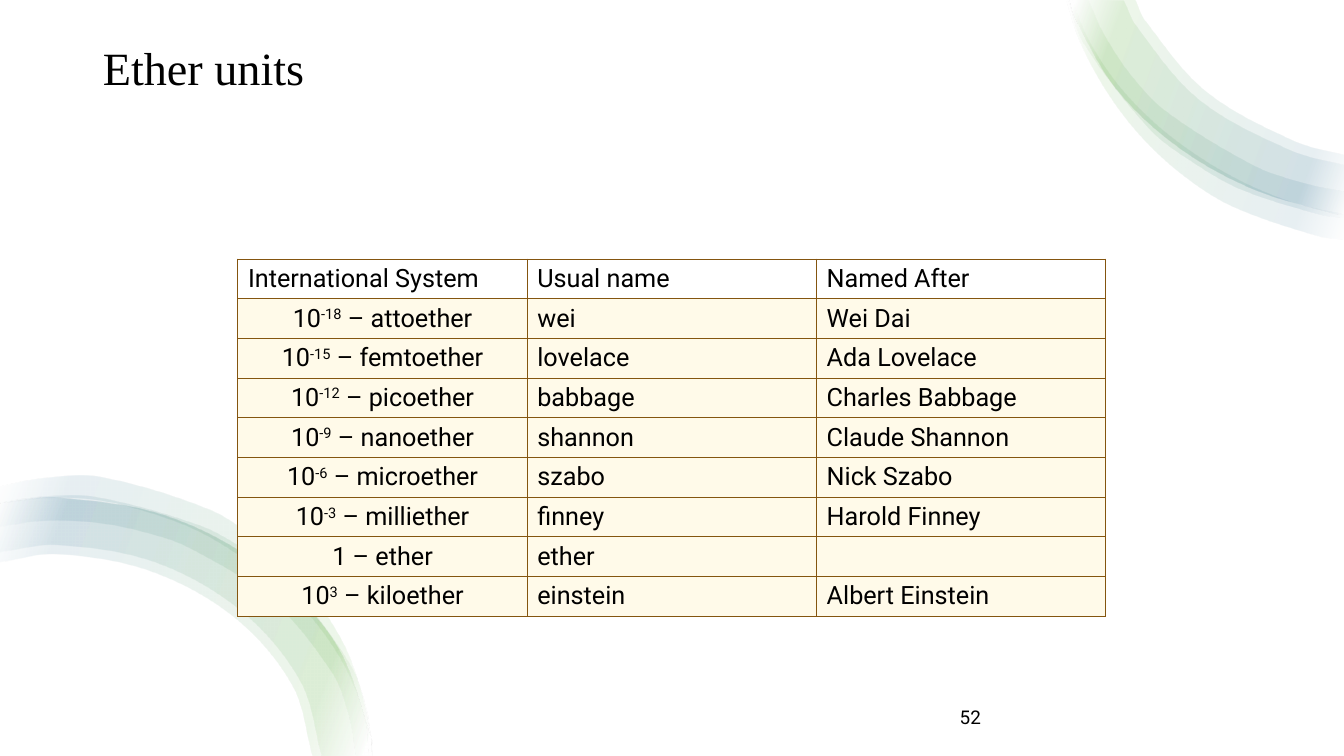
from dataclasses import dataclass
from math import dist

from lxml.etree import SubElement
from pptx import Presentation
from pptx.dml.color import RGBColor
from pptx.enum.text import MSO_ANCHOR as Anchor, PP_ALIGN as Align
from pptx.oxml import parse_xml
from pptx.oxml.ns import nsdecls, qn
from pptx.util import Inches, Pt

Point = tuple[float, float]
BLACK, WHITE, CREAM, BROWN = "000000", "FFFFFF", "FFFAE9", "84550F"
BAND_STOPS = [(2, WHITE), (16, "4EA72E"), (85, "156082"), (100, WHITE)]
BAND_OPACITY = 10
UNITS_PER_INCH = 1000


@dataclass
class Band:
    """A curved stripe between two smooth edges, with its gradient angle."""
    angle: int
    outer: list[Point]
    inner: list[Point]


@dataclass
class Unit:
    base: str
    exponent: str
    prefix: str
    name: str
    person: str


TOP_EDGE = [(10.61, 0), (10.67, 0.19), (11.07, 0.88), (11.67, 1.45),
            (12.41, 1.87), (13.23, 2.12), (13.33, 2.13)]
BOTTOM_EDGE = [(3.68, 7.5), (3.66, 7.29), (3.31, 6.37), (2.59, 5.62),
               (1.64, 5.12), (0.56, 4.94), (0.05, 4.99), (0, 5)]
TOP_ANGLE, BOTTOM_ANGLE = 20, 200

BANDS = [
    Band(TOP_ANGLE,
         [(10.58, 0.01), (10.71, 0.41), (10.97, 0.9), (11.31, 1.35),
          (11.73, 1.74), (12.22, 2.05), (13.05, 2.34), (13.33, 2.38)],
         [(13.33, 2.13), (12.85, 2.02), (12.35, 1.82), (11.88, 1.55),
          (11.45, 1.22), (11.08, 0.83), (10.79, 0.38), (10.64, 0.01)]),
    Band(TOP_ANGLE, TOP_EDGE,
         [(13.33, 1.54), (12.83, 1.4), (11.96, 0.91), (11.36, 0.21), (11.26, 0)]),
    Band(TOP_ANGLE,
         [(10.6, 0.01), (10.75, 0.43), (11.4, 1.28), (11.83, 1.61),
          (12.31, 1.88), (13.1, 2.13), (13.33, 2.16)],
         [(13.33, 1.9), (12.91, 1.81), (12.43, 1.64), (11.57, 1.11),
          (11.22, 0.75), (10.95, 0.34), (10.8, 0.01)]),
    Band(TOP_ANGLE, TOP_EDGE,
         [(13.33, 1.64), (12.79, 1.49), (11.89, 0.99), (11.27, 0.26), (11.15, 0.01)]),
    Band(BOTTOM_ANGLE, BOTTOM_EDGE,
         [(0, 5.58), (0.56, 5.5), (1.49, 5.67), (2.32, 6.13),
          (2.89, 6.8), (3.09, 7.5)]),
    Band(BOTTOM_ANGLE, BOTTOM_EDGE,
         [(0, 5.48), (0.56, 5.41), (1.53, 5.58), (2.38, 6.06),
          (2.97, 6.76), (3.18, 7.5)]),
    Band(BOTTOM_ANGLE,
         [(3.68, 7.5), (3.63, 7.06), (3.46, 6.59), (2.85, 5.78), (2.44, 5.47),
          (1.98, 5.22), (0.97, 4.94), (0.44, 4.93), (0, 4.99)],
         [(0, 5.23), (0.45, 5.17), (0.94, 5.19), (1.41, 5.28), (1.87, 5.44),
          (2.68, 5.95), (3.28, 6.67), (3.45, 7.1), (3.52, 7.5)]),
    Band(BOTTOM_ANGLE,
         [(3.69, 7.5), (3.69, 7.36), (3.5, 6.61), (3.26, 6.14), (2.93, 5.72),
          (2.53, 5.35), (2.07, 5.06), (1, 4.74), (0.43, 4.75), (0, 4.83)],
         [(0, 5), (0.45, 4.95), (0.97, 4.97), (1.47, 5.09), (1.95, 5.27),
          (2.39, 5.53), (2.8, 5.84), (3.15, 6.21), (3.43, 6.64),
          (3.61, 7.11), (3.66, 7.5)]),
]

HEADINGS = ["International System", "Usual name", "Named After"]
UNITS = [
    Unit("10", "-18", "attoether", "wei", "Wei Dai"),
    Unit("10", "-15", "femtoether", "lovelace", "Ada Lovelace"),
    Unit("10", "-12", "picoether", "babbage", "Charles Babbage"),
    Unit("10", "-9", "nanoether", "shannon", "Claude Shannon"),
    Unit("10", "-6", "microether", "szabo", "Nick Szabo"),
    Unit("10", "-3", "milliether", "finney", "Harold Finney"),
    Unit("1", "", "ether", "ether", ""),
    Unit("10", "3", "kiloether", "einstein", "Albert Einstein"),
]


def color(value: str) -> RGBColor:
    return RGBColor.from_string(value)


def set_font(para, size: float, name: str = "Roboto") -> None:
    para.font.size = Pt(size)
    para.font.name = name
    para.font.color.rgb = color(BLACK)


def handle(knot: Point, before: Point, after: Point, length: float) -> Point:
    """Bezier control point at a knot, along the line from before to after."""
    reach = length / 3 / dist(before, after)
    return tuple(k + (a - b) * reach for k, b, a in zip(knot, before, after))


def edge_curves(knots: list[Point]) -> list[list[Point]]:
    """Two control points and the end of each smooth segment through the knots."""
    padded = [knots[0], *knots, knots[-1]]
    return [[handle(b, a, c, dist(b, c)), handle(c, d, b, dist(b, c)), c]
            for a, b, c, d in zip(padded, padded[1:], padded[2:], padded[3:])]


def draw_band(page, band: Band) -> None:
    knots = band.outer + band.inner
    start, *rest = [(x * UNITS_PER_INCH, y * UNITS_PER_INCH) for x, y in knots]
    builder = page.shapes.build_freeform(*start, scale=Inches(1) / UNITS_PER_INCH)
    builder.add_line_segments(rest, close=True)
    shape = builder.convert_to_shape()
    shape.shadow.inherit = False
    shape.line.fill.background()

    left, top = (min(values) for values in zip(*knots))
    lines = list(shape.element.iter(qn("a:lnTo")))
    del lines[len(band.outer) - 1]
    curves = edge_curves(band.outer) + edge_curves(band.inner)
    for line, curve in zip(lines, curves):
        points = "".join(
            f'<a:pt x="{round((x - left) * UNITS_PER_INCH)}"'
            f' y="{round((y - top) * UNITS_PER_INCH)}"/>' for x, y in curve)
        line.getparent().replace(line, parse_xml(
            f'<a:cubicBezTo {nsdecls("a")}>{points}</a:cubicBezTo>'))

    stops = "".join(
        f'<a:gs pos="{place * 1000}"><a:srgbClr val="{value}">'
        f'<a:alpha val="{BAND_OPACITY * 1000}"/></a:srgbClr></a:gs>'
        for place, value in BAND_STOPS)
    gradient = parse_xml(
        f'<a:gradFill {nsdecls("a")} rotWithShape="1"><a:gsLst>{stops}</a:gsLst>'
        f'<a:lin ang="{band.angle * 60000}" scaled="0"/></a:gradFill>')
    shape.element.spPr.find(qn("a:custGeom")).addnext(gradient)


def format_cell(cell, fill: str) -> None:
    """Give the cell its borders, fill and font."""
    properties = cell._tc.get_or_add_tcPr()
    for side in ("lnL", "lnR", "lnT", "lnB"):
        line = SubElement(properties, qn(f"a:{side}"), w=str(Pt(0.75)))
        solid = SubElement(line, qn("a:solidFill"))
        SubElement(solid, qn("a:srgbClr"), val=BROWN)
    cell.fill.solid()
    cell.fill.fore_color.rgb = color(fill)
    cell.vertical_anchor = Anchor.MIDDLE
    set_font(cell.text_frame.paragraphs[0], 18)


def write_amount(cell, unit: Unit) -> None:
    para = cell.text_frame.paragraphs[0]
    para.alignment = Align.CENTER
    para.add_run().text = unit.base
    if unit.exponent:
        span = para.add_run()
        span.text = unit.exponent
        span._r.get_or_add_rPr().set("baseline", "30000")
    para.add_run().text = f" – {unit.prefix}"


def draw_units_table(page) -> None:
    rows = len(UNITS) + 1
    table = page.shapes.add_table(rows, len(HEADINGS), Inches(2.36), Inches(2.57),
                                  Inches(8.61), Inches(2.92)).table
    table.first_row = table.horz_banding = False
    for column, heading in enumerate(HEADINGS):
        table.cell(0, column).text = heading
    for row, unit in enumerate(UNITS, start=1):
        write_amount(table.cell(row, 0), unit)
        table.cell(row, 1).text = unit.name
        table.cell(row, 2).text = unit.person
    for row in range(rows):
        for column in range(len(HEADINGS)):
            format_cell(table.cell(row, column), CREAM if row else WHITE)


def write_title(page) -> None:
    title = page.shapes.title
    title.left, title.top = Inches(0.92), Inches(0.4)
    title.width, title.height = Inches(11.5), Inches(1.45)
    title.text_frame.text = "Ether units"
    title.text_frame.vertical_anchor = Anchor.TOP
    para = title.text_frame.paragraphs[0]
    para.alignment = Align.LEFT
    para.line_spacing = 0.9
    set_font(para, 33, "Times New Roman")


def write_page_number(page) -> None:
    box = page.shapes.add_textbox(Inches(9.42), Inches(6.95), Inches(2.25), Inches(0.4))
    box.text_frame.word_wrap = True
    box.text_frame.text = "52"
    set_font(box.text_frame.paragraphs[0], 13.5)


def main() -> None:
    deck = Presentation()
    deck.slide_width, deck.slide_height = Inches(13.33), Inches(7.5)
    page = deck.slides.add_slide(deck.slide_layouts[5])
    for band in BANDS:
        draw_band(page, band)
    write_title(page)
    draw_units_table(page)
    write_page_number(page)
    deck.save("out.pptx")


if __name__ == "__main__":
    main()
